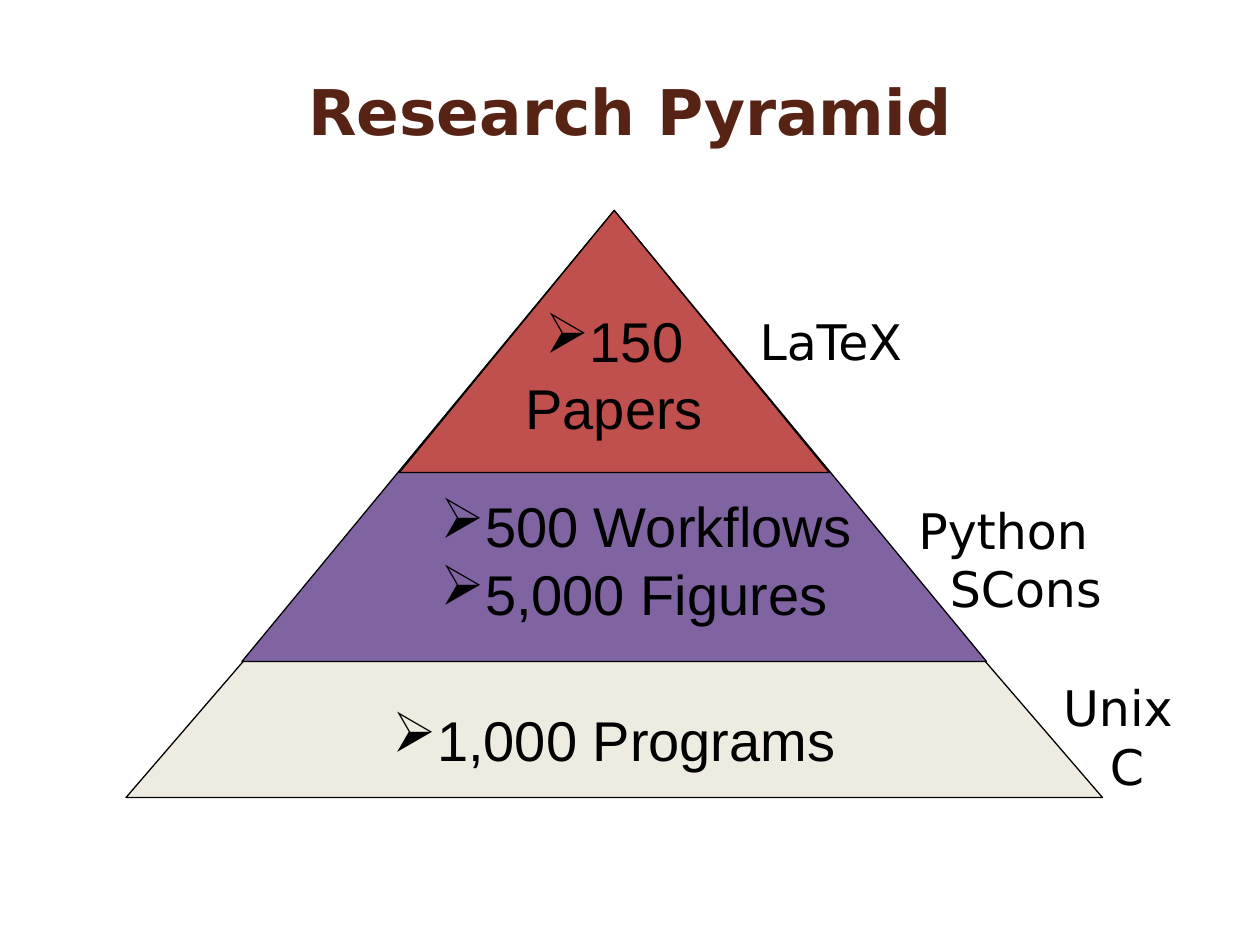
import pptx
import pptx.dml.color
import pptx.enum.shapes
import pptx.enum.text
import pptx.oxml.ns
import pptx.util
from lxml import etree

Inches = pptx.util.Inches
Align = pptx.enum.text.PP_ALIGN
Anchor = pptx.enum.text.MSO_ANCHOR

COLORS = {
    "title": "572314",
    "text": "000000",
    "programs": "EEECE1",
    "workflows": "8064A2",
    "papers": "C0504D",
}


def color(name):
    return pptx.dml.color.RGBColor.from_string(COLORS[name])


def indent(paragraph, left, first=0):
    properties = paragraph._p.get_or_add_pPr()
    properties.set("marL", str(Inches(left)))
    properties.set("indent", str(Inches(first)))
    return properties


def add_bullet(paragraph):
    properties = indent(paragraph, 0.24, -0.24)
    bullet = etree.SubElement(properties, pptx.oxml.ns.qn("a:buChar"))
    bullet.set("char", "➢")


def write(shape, lines, size, font, align=Align.LEFT, ink="text", bold=False):
    frame = shape.text_frame
    frame.text = "\n".join(lines)
    for paragraph in frame.paragraphs:
        paragraph.alignment = align
        for span in paragraph.runs:
            span.font.size = pptx.util.Pt(size)
            span.font.name = font
            span.font.bold = bold
            span.font.color.rgb = color(ink)
    return frame


def add_level(page, position, fill, lines, bullets, align, bottom):
    triangle = page.shapes.add_shape(
        pptx.enum.shapes.MSO_SHAPE.ISOSCELES_TRIANGLE, *map(Inches, position))
    triangle.shadow.inherit = False
    triangle.fill.solid()
    triangle.fill.fore_color.rgb = color(fill)
    triangle.line.color.rgb = color("text")
    triangle.line.width = pptx.util.Pt(0.75)
    frame = write(triangle, lines, 32, "Arial", align)
    frame.word_wrap = False
    frame.vertical_anchor = Anchor.BOTTOM
    frame.margin_bottom = Inches(bottom)
    for paragraph in frame.paragraphs[:bullets]:
        add_bullet(paragraph)


def add_title(page, text):
    box = page.shapes.add_textbox(*map(Inches, (0.42, 0.42, 9.16, 0.91)))
    frame = write(box, [text], 36, "DejaVu Sans", Align.CENTER, "title", True)
    frame.word_wrap = True
    frame.vertical_anchor = Anchor.MIDDLE


def add_label(page, position, lines, last_indent=0):
    box = page.shapes.add_textbox(*map(Inches, position))
    frame = write(box, lines, 28, "DejaVu Sans")
    frame.word_wrap = False
    indent(frame.paragraphs[-1], last_indent)


def main():
    deck = pptx.Presentation()
    deck.slide_width, deck.slide_height = Inches(10), Inches(7.5)
    page = deck.slides.add_slide(deck.slide_layouts[6])

    add_level(page, (1, 1.83, 7.75, 4.5), "programs",
              ["1,000 Programs"], 1, Align.CENTER, 0.2)
    add_level(page, (1.92, 1.67, 5.91, 3.58), "workflows",
              ["500 Workflows", "5,000 Figures"], 2, Align.LEFT, 0.28)
    add_level(page, (3.17, 1.67, 3.41, 2.08), "papers",
              ["150", "Papers"], 1, Align.CENTER, 0.25)

    add_title(page, "Research Pyramid")
    add_label(page, (5.93, 2.42, 1.33, 0.56), ["LaTeX"])
    add_label(page, (7.19, 3.92, 1.67, 1.33), ["Python", "SCons"], 0.25)
    add_label(page, (8.34, 5.33, 1.07, 1.03), ["Unix", "C"], 0.37)
    deck.save("out.pptx")


if __name__ == "__main__":
    main()
